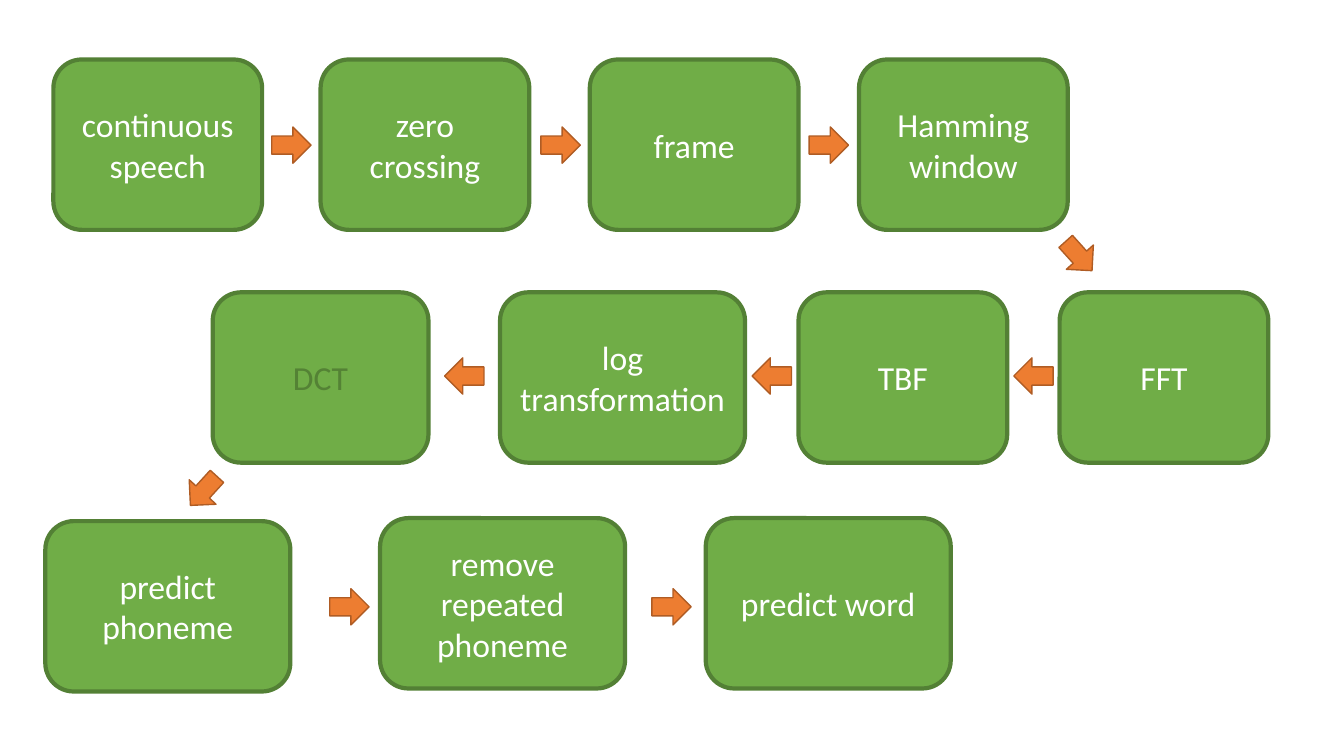
from itertools import pairwise

from pptx import Presentation, util as u
from pptx.dml.color import RGBColor
from pptx.enum import shapes, text

COLORS = {
    "step": "70AD47", "step_edge": "538035",
    "arrow": "ED7D31", "arrow_edge": "AF5C24",
    "label": "FFFFFF", "dim_label": "548235",
}
NARROW, MEDIUM, WIDE = 2.07, 2.14, 2.43
STEP_HEIGHT = 1.69
ARROW_WIDTH, ARROW_HEIGHT = 0.39, 0.36

ROWS = [
    {"top": 0.59, "arrow_y": 1.44, "angle": 0, "nudges": (0, 0.01, 0), "steps": [
        ("continuous speech", 0.53, NARROW),
        ("zero crossing", 3.18, NARROW),
        ("frame", 5.85, NARROW),
        ("Hamming\nwindow", 8.52, NARROW),
    ]},
    {"top": 2.9, "arrow_y": 3.73, "angle": 180, "nudges": (0, 0, 0), "steps": [
        ("DCT", 2.11, MEDIUM),
        ("log transformation", 4.96, WIDE),
        ("TBF", 7.92, NARROW),
        ("FFT", 10.51, NARROW),
    ]},
    {"top": 5.14, "arrow_y": 6.02, "angle": 0, "nudges": (0.14, 0.06), "steps": [
        ("predict phoneme", 0.45, WIDE),
        ("remove repeated phoneme", 3.77, WIDE),
        ("predict word", 7.0, WIDE),
    ]},
]
DROPS = {"predict phoneme": 0.03}
LABEL_COLORS = {"DCT": "dim_label"}
TURNS = [(10.7, 2.54, 48), (2.02, 4.87, 132.4)]

deck = Presentation()
deck.slide_width, deck.slide_height = u.Inches(13.33), u.Inches(7.5)
slide = deck.slides.add_slide(deck.slide_layouts[6])


def color(name):
    return RGBColor.from_string(COLORS[name])


def add_block(kind, left, top, width, height, role, edge_width):
    block = slide.shapes.add_shape(kind, *map(u.Inches, (left, top, width, height)))
    block.shadow.inherit = False
    block.fill.solid()
    block.fill.fore_color.rgb = color(role)
    block.line.color.rgb = color(role + "_edge")
    block.line.width = u.Pt(edge_width)
    return block


def write(block, wording, size=24, font="Calibri", ink="label"):
    frame = block.text_frame
    frame.word_wrap = True
    frame.vertical_anchor = text.MSO_ANCHOR.MIDDLE
    frame.text = wording
    for line in frame.paragraphs:
        line.alignment = text.PP_ALIGN.CENTER
        for run in line.runs:
            run.font.size, run.font.name = u.Pt(size), font
            run.font.color.rgb = color(ink)


def add_arrow(center_x, center_y, angle):
    arrow = add_block(shapes.MSO_SHAPE.RIGHT_ARROW,
                      center_x - ARROW_WIDTH / 2, center_y - ARROW_HEIGHT / 2,
                      ARROW_WIDTH, ARROW_HEIGHT, "arrow", 1)
    arrow.rotation = angle


for row in ROWS:
    for label, left, width in row["steps"]:
        step = add_block(shapes.MSO_SHAPE.ROUNDED_RECTANGLE,
                         left, row["top"] + DROPS.get(label, 0),
                         width, STEP_HEIGHT, "step", 3)
        write(step, label, ink=LABEL_COLORS.get(label, "label"))
    for (before, after), nudge in zip(pairwise(row["steps"]), row["nudges"]):
        gap_middle = (before[1] + before[2] + after[1]) / 2
        add_arrow(gap_middle + nudge, row["arrow_y"], row["angle"])

for turn in TURNS:
    add_arrow(*turn)

deck.save("out.pptx")
